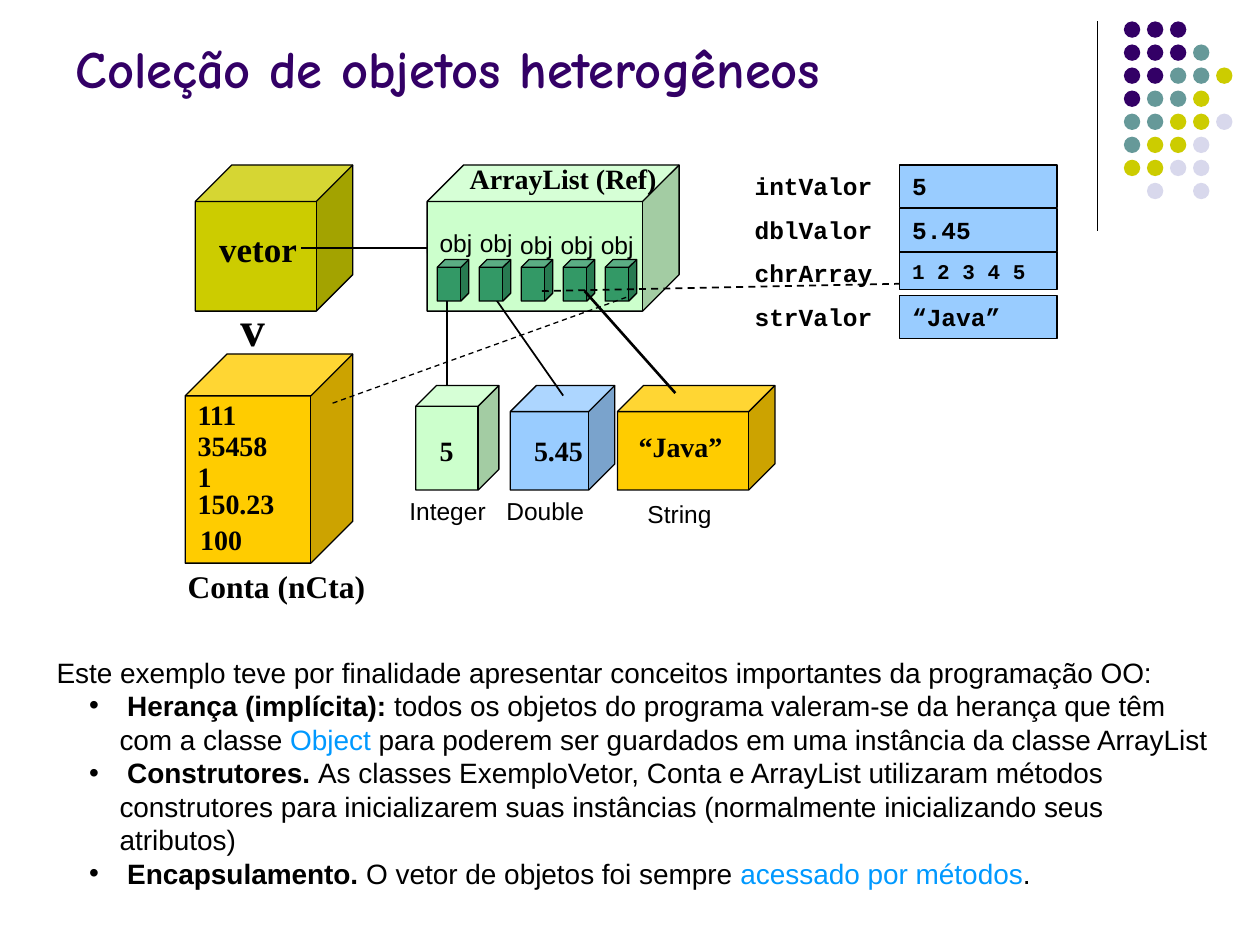
from lxml import etree
from pptx import Presentation
from pptx.dml.color import RGBColor
from pptx.enum.dml import MSO_LINE
from pptx.enum.shapes import MSO_CONNECTOR, MSO_SHAPE
from pptx.enum.text import MSO_ANCHOR, MSO_AUTO_SIZE, PP_ALIGN
from pptx.oxml.ns import qn
from pptx.util import Inches, Pt

CUBE, RECT, OVAL = MSO_SHAPE.CUBE, MSO_SHAPE.RECTANGLE, MSO_SHAPE.OVAL
LINE = MSO_CONNECTOR.STRAIGHT
DASH = MSO_LINE.DASH
LEFT, TOP, BOTTOM = PP_ALIGN.LEFT, MSO_ANCHOR.TOP, MSO_ANCHOR.BOTTOM
GROW, FIXED = MSO_AUTO_SIZE.SHAPE_TO_FIT_TEXT, MSO_AUTO_SIZE.NONE
SERIF, SANS, MONO, COMIC = "Times New Roman", "Arial", "Courier New", "Comic Neue"

COLORS = {
    "black": "000000", "purple": "330066", "teal": "669999",
    "olive": "CCCC00", "pale": "D8D8EC", "mint": "CCFFCC",
    "gold": "FFCC00", "sky": "99CCFF", "green": "339966", "link": "0099FF",
}
DOTS = ["PPP", "PPPT", "PPTTY", "PTTY", "TTYYL", "TYYL", "YYLL", " L L"]
TONES = {"P": "purple", "T": "teal", "Y": "olive", "L": "pale"}
BODY = [
    [("Herança (implícita):", True, "black"),
     (" todos os objetos do programa valeram-se da herança que têm com a classe ",
      False, "black"),
     ("Object", False, "link"),
     (" para poderem ser guardados em uma instância da classe ArrayList",
      False, "black")],
    [("Construtores. ", True, "black"),
     ("As classes ExemploVetor, Conta e ArrayList utilizaram métodos "
      "construtores para inicializarem suas instâncias (normalmente "
      "inicializando seus atributos)", False, "black")],
    [("Encapsulamento. ", True, "black"),
     ("O vetor de objetos foi sempre ", False, "black"),
     ("acessado por métodos", False, "link"),
     (".", False, "black")],
]


def rgb(name):
    return RGBColor.from_string(COLORS[name])


def write(para, text, size=16, font=SERIF, color="black", bold=True):
    para.alignment = LEFT
    run = para.add_run()
    run.text = text
    run.font.size = Pt(size)
    run.font.name = font
    run.font.bold = bold
    run.font.color.rgb = rgb(color)


def label(slide, text, x, y, w, h, wrap=False, **style):
    box = slide.shapes.add_textbox(Inches(x), Inches(y), Inches(w), Inches(h))
    frame = box.text_frame
    frame.word_wrap = wrap
    frame.auto_size = GROW
    write(frame.paragraphs[0], text, **style)
    return frame


def shape(slide, kind, x, y, w, h, color, edge=True):
    item = slide.shapes.add_shape(kind, Inches(x), Inches(y), Inches(w), Inches(h))
    item.shadow.inherit = False
    item.fill.solid()
    item.fill.fore_color.rgb = rgb(color)
    if edge:
        item.line.color.rgb = rgb("black")
        item.line.width = Pt(0.74)
    else:
        item.line.fill.background()
    return item


def line(slide, x1, y1, x2, y2, width=0.99, dash=None, arrow=False):
    item = slide.shapes.add_connector(
        LINE, Inches(x1), Inches(y1), Inches(x2), Inches(y2))
    item.line.color.rgb = rgb("black")
    item.line.width = Pt(width)
    if dash:
        item.line.dash_style = dash
    if arrow:
        etree.SubElement(item.line._get_or_add_ln(), qn("a:tailEnd"), type="triangle")
    etree.SubElement(item._element.spPr, qn("a:effectLst"))


def bullet(para):
    props = para._p.get_or_add_pPr()
    props.set("marL", str(Inches(0.5)))
    props.set("indent", str(Inches(-0.24)))
    tone = etree.SubElement(props, qn("a:buClr"))
    etree.SubElement(tone, qn("a:srgbClr"), val=COLORS["black"])
    etree.SubElement(props, qn("a:buFont"), typeface=SANS)
    etree.SubElement(props, qn("a:buChar"), char="•")


def head(slide):
    title = slide.shapes.title
    title.left, title.top = Inches(0.5), Inches(0.08)
    title.width, title.height = Inches(8.25), Inches(0.76)
    frame = title.text_frame
    frame.vertical_anchor = BOTTOM
    frame.word_wrap = True
    frame.auto_size = FIXED
    write(frame.paragraphs[0], "Coleção de objetos heterogêneos",
          size=30, font=COMIC, color="purple")


def decor(slide):
    line(slide, 8.71, 0.17, 8.71, 1.83, width=0.74)
    step = 0.183
    for row, codes in enumerate(DOTS):
        for col, code in enumerate(codes):
            if code in TONES:
                shape(slide, OVAL, 8.92 + col * step, 0.17 + row * step,
                      0.13, 0.13, TONES[code], edge=False)


def vector(slide):
    shape(slide, CUBE, 1.55, 1.31, 1.25, 1.16, "olive")
    label(slide, "v", 1.81, 2.31, 0.39, 0.57, size=28)
    line(slide, 2.39, 1.97, 3.47, 1.97, width=1.5, arrow=True)
    shape(slide, CUBE, 3.39, 1.31, 2, 1.16, "mint")
    label(slide, "ArrayList (Ref)", 3.63, 1.23, 1.73, 0.37, wrap=True)
    label(slide, "vetor", 1.64, 1.76, 0.82, 0.44, size=20)


def account(slide):
    shape(slide, CUBE, 1.47, 2.81, 1.33, 1.66, "gold")
    label(slide, "Conta (nCta)", 1.39, 4.45, 1.61, 0.4, size=18)
    for text, x, y, w in [("111", 1.47, 3.11, 0.55), ("35458", 1.47, 3.35, 0.8),
                          ("1", 1.47, 3.6, 0.33), ("150.23", 1.47, 3.81, 0.83),
                          ("100", 1.49, 4.1, 0.55)]:
        label(slide, text, x, y, w, 0.37)


def objects(slide):
    line(slide, 3.55, 2.31, 3.55, 3.22)
    shape(slide, CUBE, 3.3, 3.06, 0.66, 0.83, "mint")
    label(slide, "5", 3.39, 3.39, 0.33, 0.37)
    shape(slide, CUBE, 4.05, 3.06, 0.83, 0.83, "sky")
    label(slide, "5.45", 4.14, 3.39, 0.61, 0.37)
    line(slide, 3.89, 2.31, 4.47, 3.14)
    for i in range(5):
        shape(slide, CUBE, 3.47 + i / 3, 2.06, 0.25, 0.33, "green")
    line(slide, 4.3, 2.31, 7.25, 2.25, dash=DASH)
    shape(slide, CUBE, 4.9, 3.06, 1.25, 0.83, "gold")
    label(slide, "“Java” ", 4.97, 3.36, 0.92, 0.37)
    line(slide, 4.64, 2.31, 5.36, 3.12, width=1.5)
    for i in range(5):
        label(slide, "obj", 3.39 + i * 0.32, 1.76 if i < 2 else 1.78, 0.48, 0.34,
              size=14, font=SANS, bold=False)
    for text, x, y, w in [("Integer", 3.15, 3.89, 0.85), ("Double", 3.92, 3.89, 0.85),
                          ("String", 5.04, 3.91, 0.75)]:
        label(slide, text, x, y, w, 0.34, size=14, font=SANS, bold=False)


def values(slide):
    for i, (name, value, h, size) in enumerate([
            ("intValor", "5", 0.34, 14), ("dblValor", "5.45", 0.34, 14),
            ("chrArray", "1 2 3 4 5", 0.3, 12), ("strValor", "“Java”", 0.34, 14)]):
        y = 1.31 + i * 0.345
        label(slide, name, 5.89, y, 1.32, 0.34, wrap=True, size=14, font=MONO)
        cell = shape(slide, RECT, 7.14, y, 1.25, h, "sky")
        frame = cell.text_frame
        frame.vertical_anchor = TOP
        frame.word_wrap = True
        frame.auto_size = GROW
        write(frame.paragraphs[0], value, size=size, font=MONO)
    line(slide, 2.64, 3.2, 4.97, 2.36, width=0.74, dash=DASH)


def body(slide):
    frame = label(slide, "Este exemplo teve por finalidade apresentar conceitos "
                  "importantes da programação OO:", 0.35, 5.15, 9.45, 1.97,
                  wrap=True, font=SANS, bold=False)
    for parts in BODY:
        para = frame.add_paragraph()
        para.level = 1
        bullet(para)
        write(para, " ", font=SANS, bold=False)
        for text, bold, color in parts:
            write(para, text, font=SANS, bold=bold, color=color)


def main():
    deck = Presentation()
    deck.slide_width, deck.slide_height = Inches(10), Inches(7.5)
    slide = deck.slides.add_slide(deck.slide_layouts[5])
    for draw in (decor, head, vector, account, objects, values, body):
        draw(slide)
    deck.save("out.pptx")


main()
